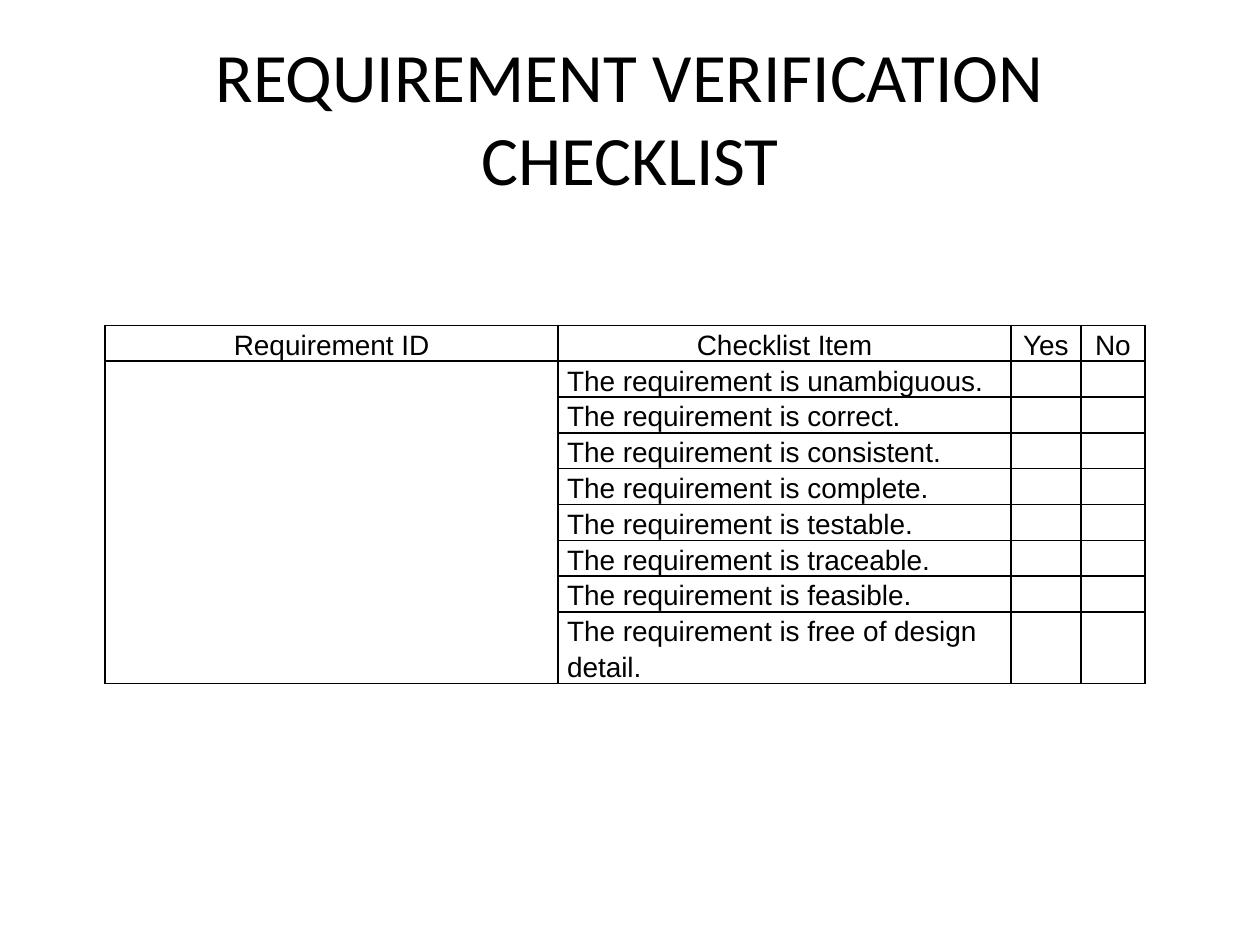
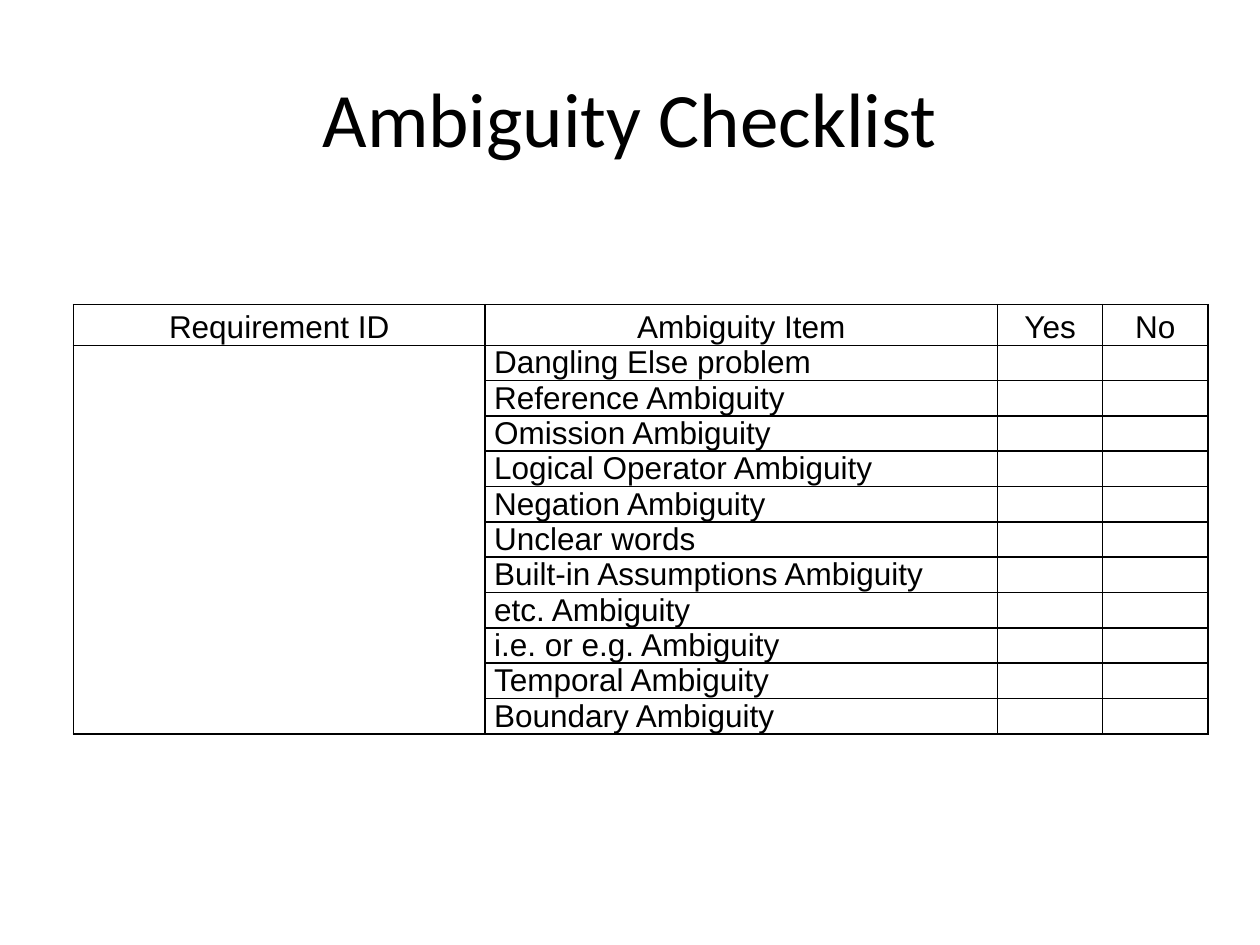
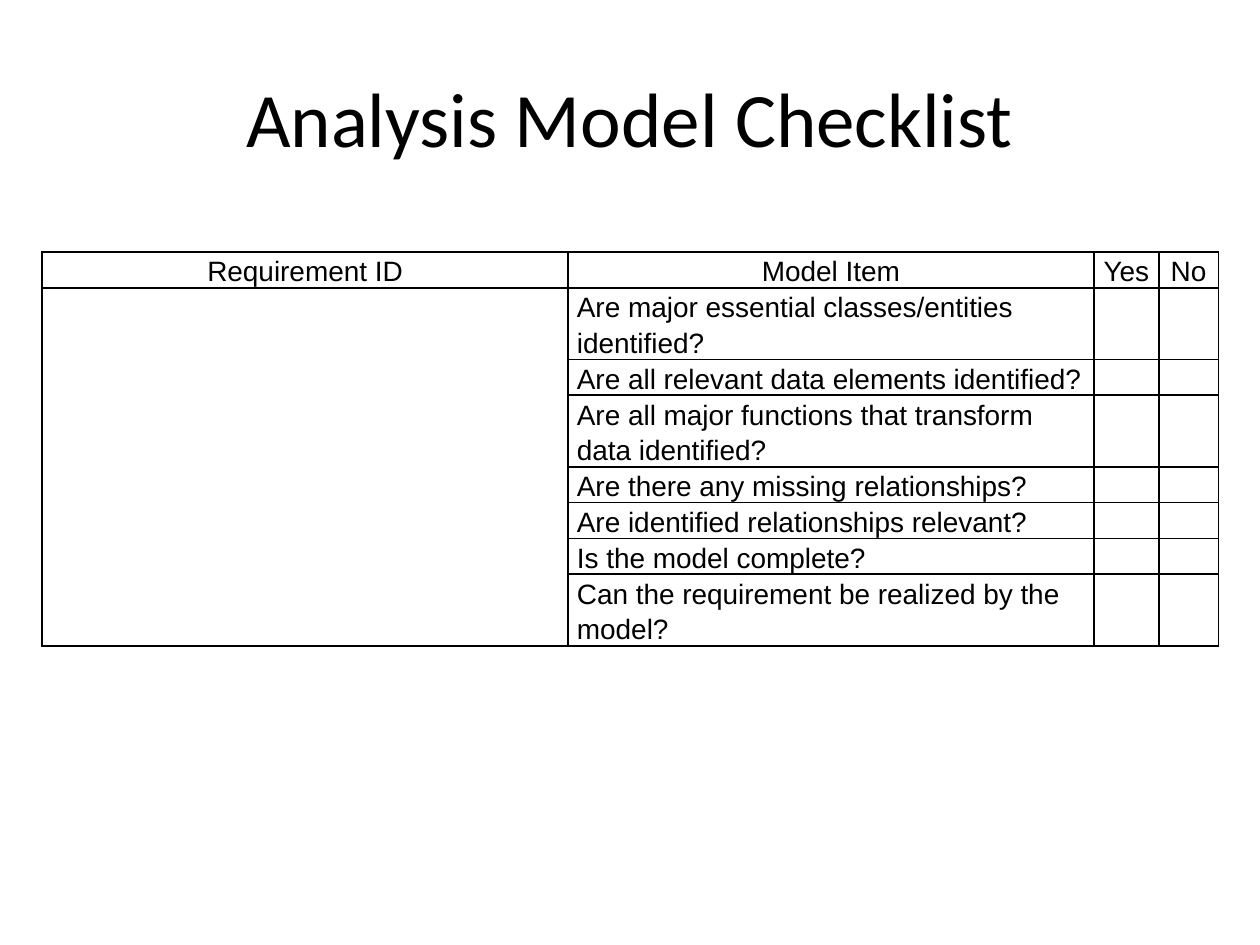
from dataclasses import dataclass

import lxml.etree
import pptx
import pptx.dml.color
import pptx.enum.text
import pptx.oxml.ns
import pptx.util

Cm = pptx.util.Cm
Pt = pptx.util.Pt
ALIGN = pptx.enum.text.PP_ALIGN

# Shared look
INK = "000000"
TITLE_FONT = "Calibri"
TABLE_FONT = "Arial"
TITLE_BOX = (Cm(1.27), Cm(0.76), Cm(22.86), Cm(3.18))
SIDE_MARGIN = Cm(0.18)
BORDER_WIDTH = Pt(1)
TITLE_ONLY_LAYOUT = 5


@dataclass(frozen=True)
class Checklist:
    """One slide; lengths are in centimetres and sizes in points."""
    title: str
    item_heading: str
    items: list[str]
    left: float
    top: float
    columns: tuple[float, ...]
    title_size: float = 44
    text_size: float = 16
    item_spacing: float = 1.15
    header_height: float = 0.72
    row_height: float = 0.72


CHECKLISTS = [
    Checklist(
        "REQUIREMENT VERIFICATION CHECKLIST", "Checklist Item",
        [f"The requirement is {quality}." for quality in (
            "unambiguous", "correct", "consistent", "complete", "testable",
            "traceable", "feasible", "free of design detail")],
        left=2.12, top=6.56, columns=(9.13, 9.13, 1.41, 1.29),
        title_size=39.6),
    Checklist(
        "Ambiguity Checklist", "Ambiguity Item",
        ["Dangling Else problem", "Reference Ambiguity", "Omission Ambiguity",
         "Logical Operator Ambiguity", "Negation Ambiguity", "Unclear words",
         "Built-in Assumptions Ambiguity", "etc. Ambiguity",
         "i.e. or e.g. Ambiguity", "Temporal Ambiguity", "Boundary Ambiguity"],
        left=1.48, top=6.14, columns=(8.3, 10.33, 2.12, 2.12),
        text_size=18, item_spacing=1.0, header_height=0.82, row_height=0.71),
    Checklist(
        "Analysis Model Checklist", "Model Item",
        ["Are major essential classes/entities identified?",
         "Are all relevant data elements identified?",
         "Are all major functions that transform data identified?",
         "Are there any missing relationships?",
         "Are identified relationships relevant?",
         "Is the model complete?",
         "Can the requirement be realized by the model?"],
        left=0.85, top=5.08, columns=(10.6, 10.6, 1.31, 1.2)),
]


def colour(value: str) -> pptx.dml.color.RGBColor:
    return pptx.dml.color.RGBColor.from_string(value)


def add_element(parent, tag: str, **attributes: str):
    return lxml.etree.SubElement(parent, pptx.oxml.ns.qn(tag), attributes)


def format_runs(para, font: str, size: float) -> None:
    for span in para.runs:
        span.font.name = font
        span.font.size = Pt(size)
        span.font.color.rgb = colour(INK)


def add_title(page, text: str, size: float) -> None:
    box = page.shapes.title
    box.left, box.top, box.width, box.height = TITLE_BOX
    frame = box.text_frame
    frame.text = text
    frame.word_wrap = True
    frame.auto_size = pptx.enum.text.MSO_AUTO_SIZE.NONE
    frame.vertical_anchor = pptx.enum.text.MSO_ANCHOR.MIDDLE
    para = frame.paragraphs[0]
    para.alignment = ALIGN.CENTER
    format_runs(para, TITLE_FONT, size)


def style_cell(cell) -> None:
    """Rule all four sides and clear the fill."""
    cell.margin_left = cell.margin_right = SIDE_MARGIN
    cell.margin_top = cell.margin_bottom = 0
    properties = cell._tc.get_or_add_tcPr()
    for side in ("a:lnL", "a:lnR", "a:lnT", "a:lnB"):
        line = add_element(properties, side, w=str(BORDER_WIDTH))
        add_element(add_element(line, "a:solidFill"), "a:srgbClr", val=INK)
    cell.fill.background()


def write_cell(cell, text: str, size: float, align, spacing: float) -> None:
    para = cell.text_frame.paragraphs[0]
    if text:
        para.text = text
        para.alignment = align
        para.line_spacing = spacing
        format_runs(para, TABLE_FONT, size)
    else:
        # An empty cell takes its line height from the end mark
        end = add_element(para._p, "a:endParaRPr", sz=str(int(size * 100)))
        add_element(end, "a:latin", typeface=TABLE_FONT)


def add_checklist(page, plan: Checklist) -> None:
    rows = [["Requirement ID", plan.item_heading, "Yes", "No"]]
    rows += [["", item, "", ""] for item in plan.items]
    height = plan.header_height + plan.row_height * len(plan.items)
    table = page.shapes.add_table(
        len(rows), len(plan.columns), Cm(plan.left), Cm(plan.top),
        Cm(sum(plan.columns)), Cm(height)).table
    table.first_row = table.horz_banding = False
    for column, width in zip(table.columns, plan.columns):
        column.width = Cm(width)

    for index, texts in enumerate(rows):
        header = index == 0
        table.rows[index].height = Cm(
            plan.header_height if header else plan.row_height)
        for position, text in enumerate(texts):
            cell = table.cell(index, position)
            style_cell(cell)
            write_cell(cell, text, plan.text_size,
                       ALIGN.CENTER if header else ALIGN.LEFT,
                       1.15 if header else plan.item_spacing)

    # One tall cell for the requirement under review
    table.cell(1, 0).merge(table.cell(len(plan.items), 0))


def main() -> None:
    deck = pptx.Presentation()
    deck.slide_width, deck.slide_height = Cm(25.4), Cm(19.05)
    for plan in CHECKLISTS:
        page = deck.slides.add_slide(deck.slide_layouts[TITLE_ONLY_LAYOUT])
        add_title(page, plan.title, plan.title_size)
        add_checklist(page, plan)
    deck.save("out.pptx")


if __name__ == "__main__":
    main()
